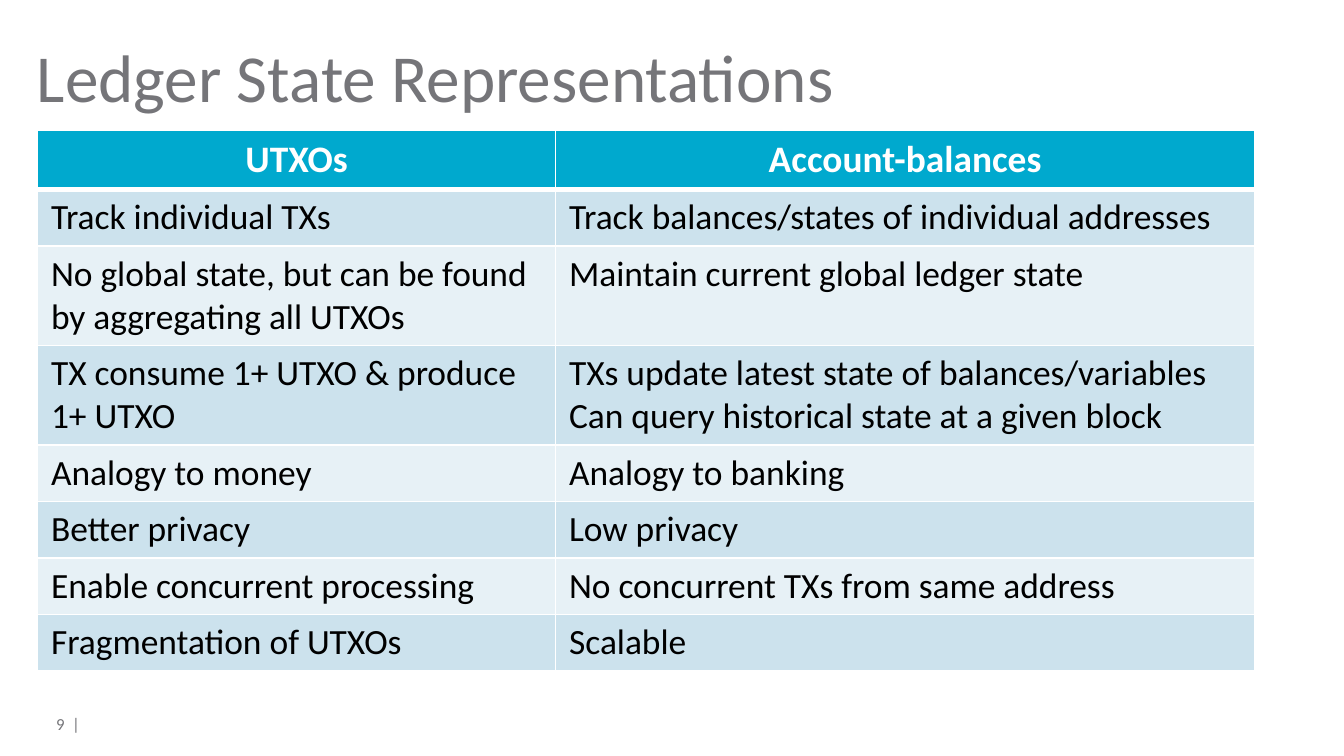
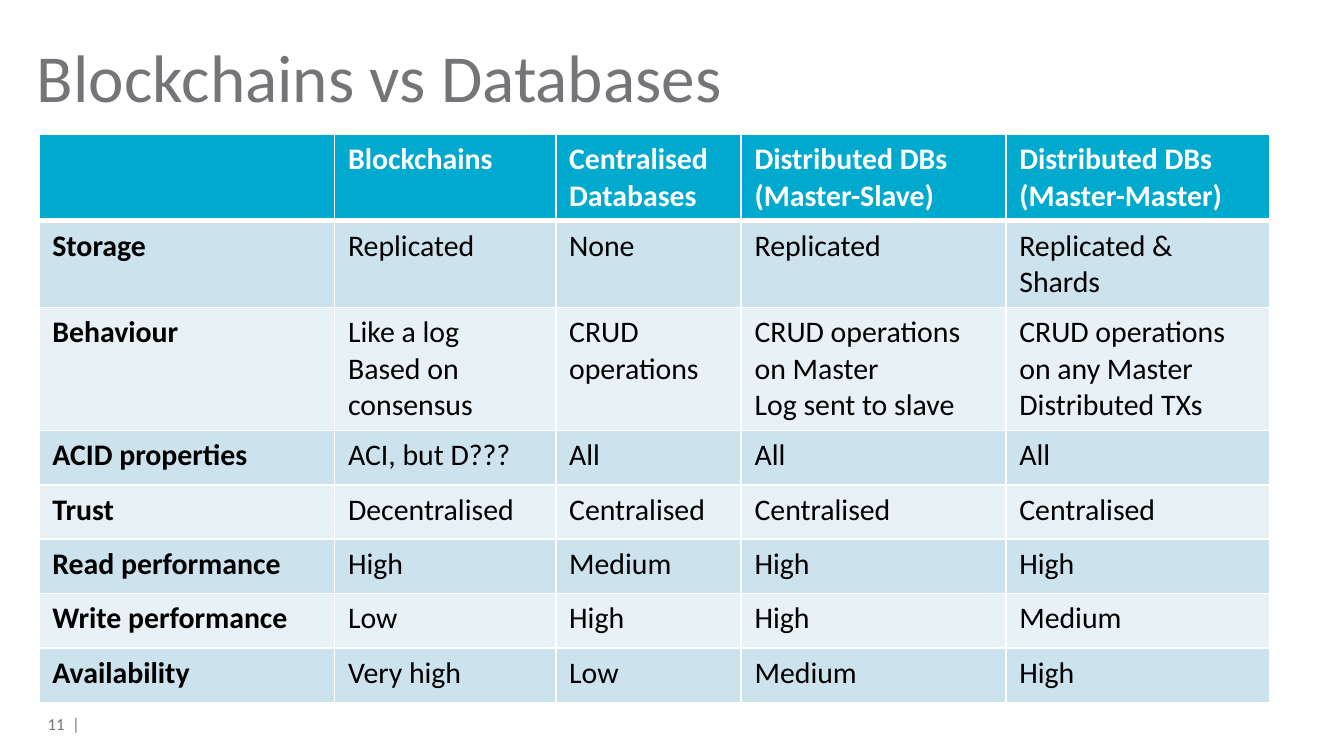
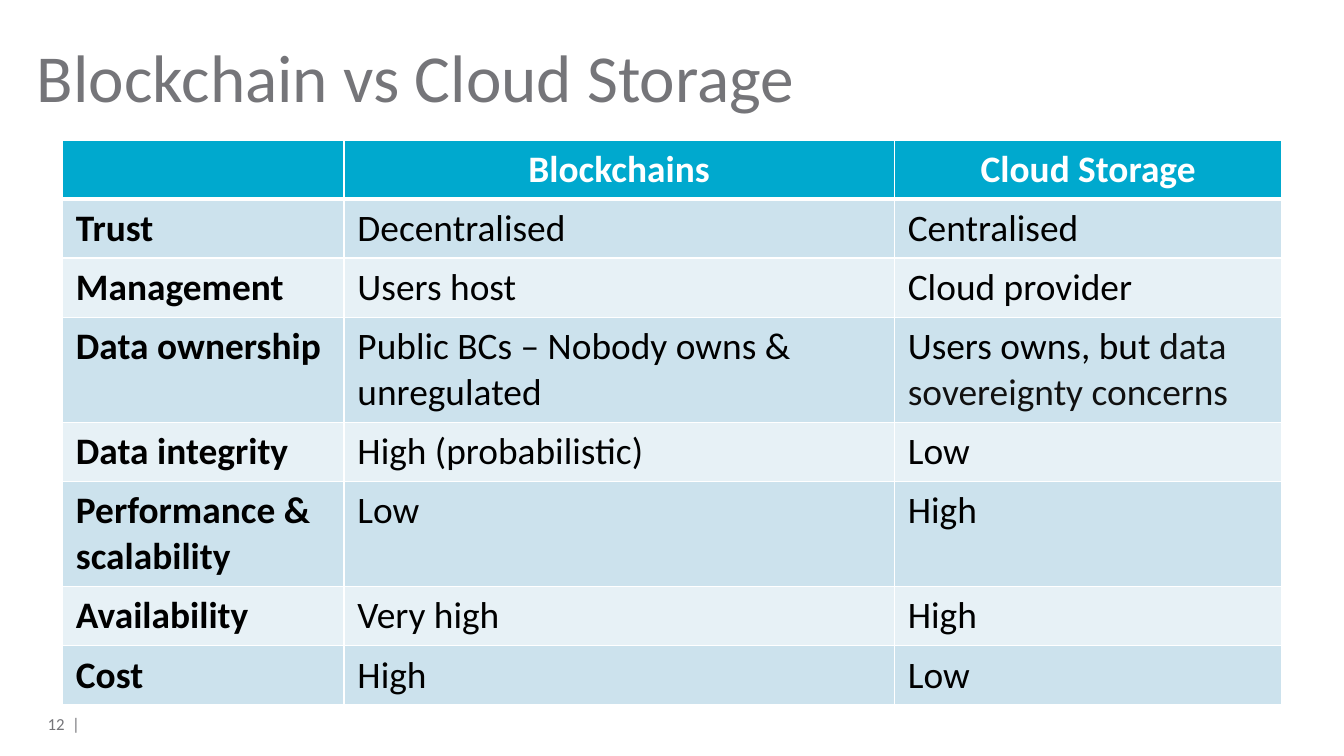
from dataclasses import dataclass
from typing import NamedTuple

from lxml import etree
from pptx import Presentation
from pptx import util as u
from pptx.dml import color
from pptx.enum import text
from pptx.oxml import ns

EMU_PER_PX = 4572  # 200 px to the inch
TITLE_ONLY_LAYOUT = 5


@dataclass(frozen=True)
class Theme:
    font: str = "Calibri"
    grey: str = "757579"
    header_fill: str = "00A9CE"
    band_fills: tuple[str, str] = ("CCE2ED", "E7F1F6")
    white: str = "FFFFFF"
    black: str = "000000"
    near_black: str = "111111"
    title_size: int = 36
    footer_size: int = 9
    border_width: int = 1
    header_rule_width: int = 3


THEME = Theme()


class Box(NamedTuple):
    left: int
    top: int
    width: int
    height: int


SLIDE_WIDTH, SLIDE_HEIGHT = 2000, 1125
TITLE_BOX = Box(55, 52, 1890, 140)
FOOTER_BOX = Box(55, 1067, 64, 20)


class Span(NamedTuple):
    text: str
    color: str


Cell = str | tuple[Span, ...]


@dataclass(frozen=True)
class TableSlide:
    title: str
    number: int
    left: int
    top: int
    column_widths: tuple[int, ...]
    text_size: int
    header_size: int
    rows: tuple[tuple[Cell, ...], ...]
    header_height: int = 81
    row_height: int = 81
    centered_header: bool = True
    bold_first_column: bool = True


SLIDES = (
    TableSlide(
        "Ledger State Representations", 9, 56, 194, (771, 1040), 19, 20,
        (
            ("UTXOs", "Account-balances"),
            ("Track individual TXs", "Track balances/states of individual addresses"),
            ("No global state, but can be found by aggregating all UTXOs",
             "Maintain current global ledger state"),
            ("TX consume 1+ UTXO & produce 1+ UTXO",
             "TXs update latest state of balances/variables\n"
             "Can query historical state at a given block"),
            ("Analogy to money", "Analogy to banking"),
            ("Better privacy", "Low privacy"),
            ("Enable concurrent processing", "No concurrent TXs from same address"),
            ("Fragmentation of UTXOs", "Scalable"),
        ),
        header_height=70,
        bold_first_column=False,
    ),
    TableSlide(
        "Blockchains vs Databases", 11, 58, 200, (440, 329, 276, 394, 393), 16, 16,
        (
            ("", "Blockchains", "Centralised Databases",
             "Distributed DBs (Master-Slave)", "Distributed DBs (Master-Master)"),
            ("Storage", "Replicated", "None", "Replicated", "Replicated & Shards"),
            ("Behaviour", "Like a log\nBased on consensus", "CRUD operations",
             "CRUD operations on Master\nLog sent to slave",
             "CRUD operations on any Master\nDistributed TXs"),
            ("ACID properties", "ACI, but D???", "All", "All", "All"),
            ("Trust", "Decentralised", "Centralised", "Centralised", "Centralised"),
            ("Read performance", "High", "Medium", "High", "High"),
            ("Write performance", "Low", "High", "High", "Medium"),
            ("Availability", "Very high", "Low", "Medium", "High"),
        ),
        centered_header=False,
    ),
    TableSlide(
        "Blockchain vs Cloud Storage", 12, 93, 208, (419, 819, 577), 20, 20,
        (
            ("", "Blockchains", "Cloud Storage"),
            ("Trust", "Decentralised", "Centralised"),
            ("Management", "Users host", "Cloud provider"),
            ("Data ownership", "Public BCs – Nobody owns & unregulated",
             (Span("Users owns, but ", THEME.black),
              Span("data sovereignty concerns", THEME.near_black))),
            ("Data integrity", "High (probabilistic)", "Low"),
            ("Performance & scalability", "Low", "High"),
            ("Availability", "Very high", "High"),
            ("Cost", "High", "Low"),
        ),
    ),
)


def px(length: int) -> u.Emu:
    return u.Emu(length * EMU_PER_PX)


def rgb(value: str) -> color.RGBColor:
    return color.RGBColor.from_string(value)


def style_paragraph(paragraph, size: int, font_color: str,
                    alignment=text.PP_ALIGN.LEFT, bold: bool = False) -> None:
    paragraph.alignment = alignment
    font = paragraph.font
    font.name, font.size, font.bold = THEME.font, u.Pt(size), bold
    font.color.rgb = rgb(font_color)


def prepare_frame(frame, anchor) -> None:
    """Remove the insets and fix the box size."""
    frame.margin_left = frame.margin_top = frame.margin_right = frame.margin_bottom = 0
    frame.word_wrap = True
    frame.auto_size = text.MSO_AUTO_SIZE.NONE
    frame.vertical_anchor = anchor


def add_title(slide, title: str) -> None:
    shape = slide.shapes.title
    shape.left, shape.top, shape.width, shape.height = map(px, TITLE_BOX)
    prepare_frame(shape.text_frame, text.MSO_ANCHOR.TOP)
    shape.text_frame.text = title
    style_paragraph(shape.text_frame.paragraphs[0], THEME.title_size, THEME.grey)


def add_footer(slide, number: int) -> None:
    frame = slide.shapes.add_textbox(*map(px, FOOTER_BOX)).text_frame
    prepare_frame(frame, text.MSO_ANCHOR.MIDDLE)
    frame.text = f"{number}  |"
    style_paragraph(frame.paragraphs[0], THEME.footer_size, THEME.grey,
                    text.PP_ALIGN.RIGHT)


def add_borders(cell, bottom_width: int) -> None:
    properties = cell._tc.get_or_add_tcPr()
    for side in "LRTB":
        width = bottom_width if side == "B" else THEME.border_width
        line = etree.SubElement(properties, ns.qn(f"a:ln{side}"), w=str(u.Pt(width)))
        fill = etree.SubElement(line, ns.qn("a:solidFill"))
        etree.SubElement(fill, ns.qn("a:srgbClr"), val=THEME.white)


def write_cell(cell, content: Cell) -> None:
    if isinstance(content, str):
        cell.text = content
        return
    for span in content:
        run = cell.text_frame.paragraphs[0].add_run()
        run.text = span.text
        run.font.color.rgb = rgb(span.color)


def add_table(slide, content: TableSlide) -> None:
    row_heights = [content.header_height] + [content.row_height] * (len(content.rows) - 1)
    box = Box(content.left, content.top, sum(content.column_widths), sum(row_heights))
    table = slide.shapes.add_table(
        len(content.rows), len(content.column_widths), *map(px, box)).table
    for column, width in zip(table.columns, content.column_widths):
        column.width = px(width)
    for row_index, (row, height) in enumerate(zip(table.rows, row_heights)):
        row.height = px(height)
        is_header = row_index == 0
        fill = THEME.header_fill if is_header else THEME.band_fills[(row_index - 1) % 2]
        centered = is_header and content.centered_header
        for column_index, cell in enumerate(row.cells):
            write_cell(cell, content.rows[row_index][column_index])
            add_borders(cell, THEME.header_rule_width if is_header else THEME.border_width)
            cell.fill.solid()
            cell.fill.fore_color.rgb = rgb(fill)
            for paragraph in cell.text_frame.paragraphs:
                style_paragraph(
                    paragraph,
                    content.header_size if is_header else content.text_size,
                    THEME.white if is_header else THEME.black,
                    text.PP_ALIGN.CENTER if centered else text.PP_ALIGN.LEFT,
                    is_header or (content.bold_first_column and column_index == 0))


def main() -> None:
    presentation = Presentation()
    presentation.slide_width = px(SLIDE_WIDTH)
    presentation.slide_height = px(SLIDE_HEIGHT)
    for content in SLIDES:
        slide = presentation.slides.add_slide(
            presentation.slide_layouts[TITLE_ONLY_LAYOUT])
        add_title(slide, content.title)
        add_footer(slide, content.number)
        add_table(slide, content)
    presentation.save("out.pptx")


if __name__ == "__main__":
    main()
